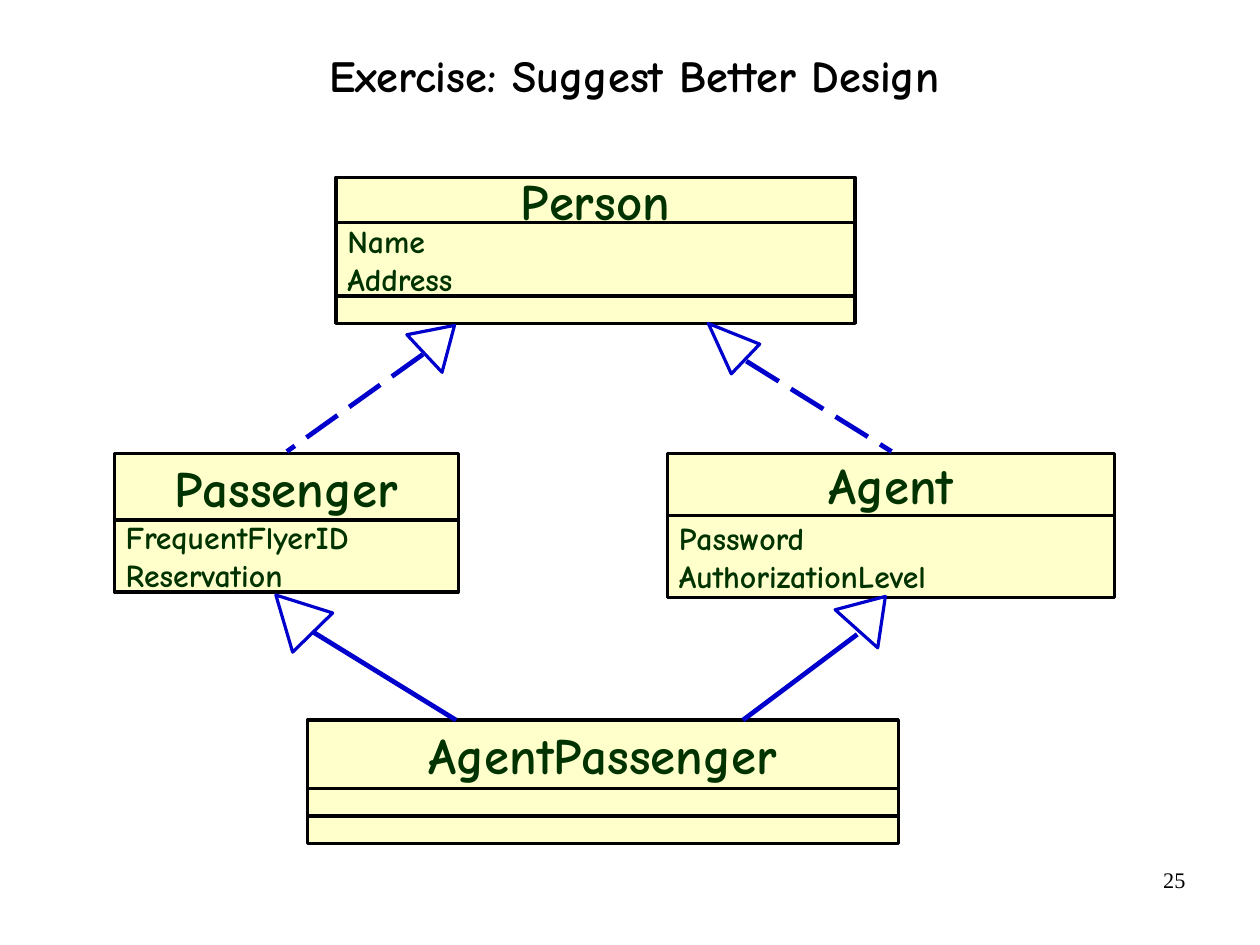
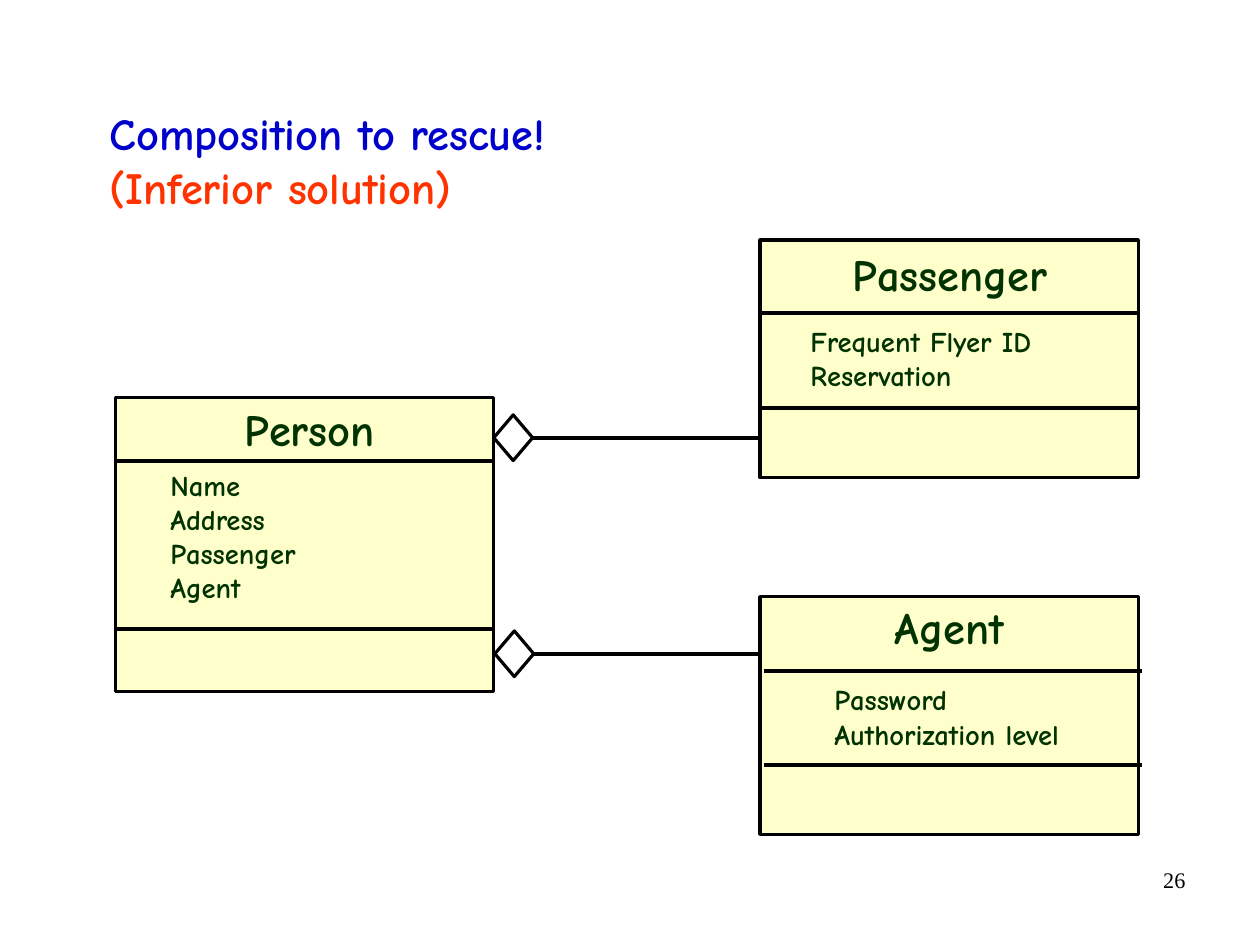
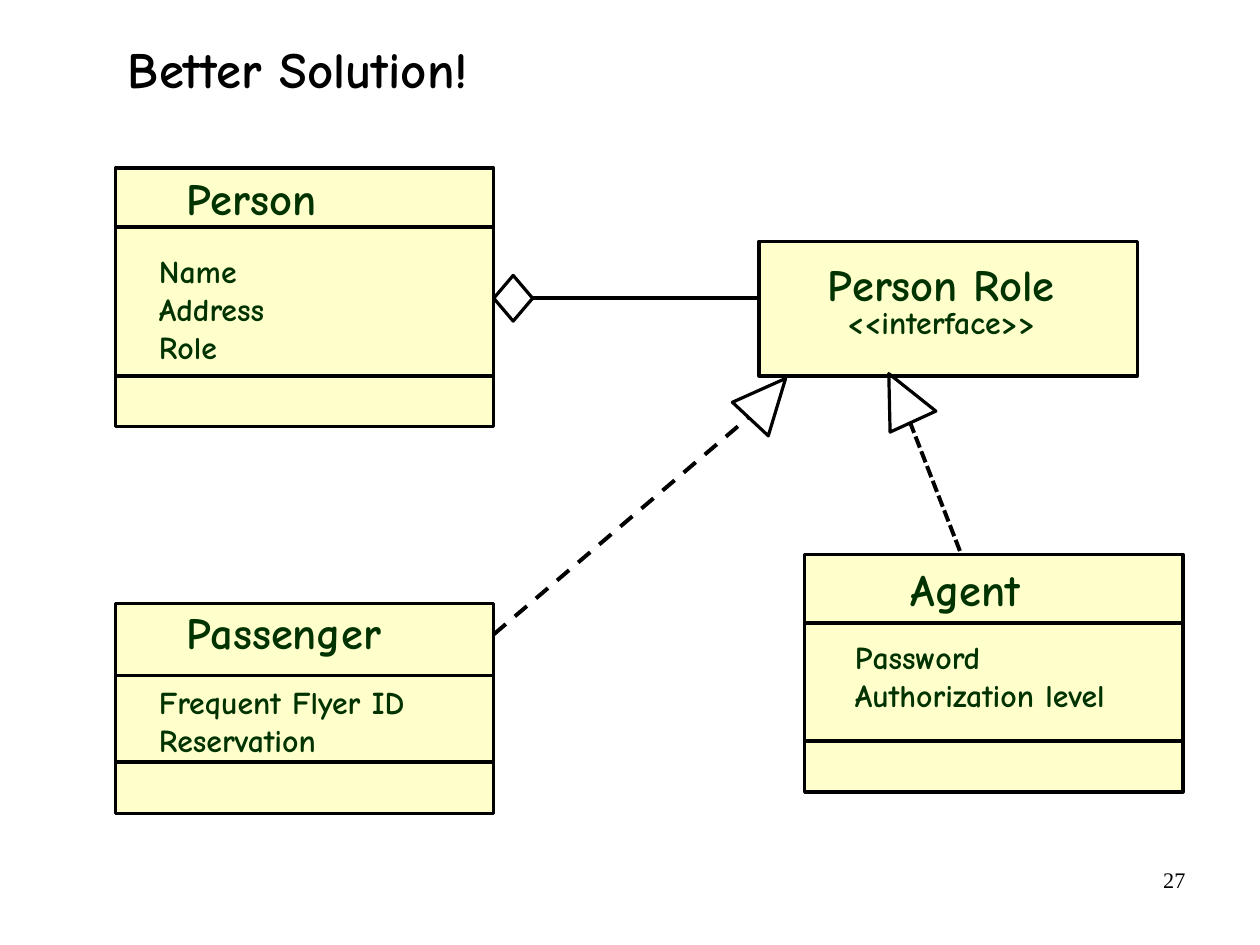
"""Build three slides on a class design exercise: inheritance, composition and roles."""
import pptx
import pptx.dml.color
import pptx.enum.dml
import pptx.enum.shapes
import pptx.enum.text
import pptx.oxml
import pptx.oxml.ns
import pptx.util

CELL = pptx.util.Inches(0.1)
BLACK, WHITE, CREAM = "000000", "FFFFFF", "FFFFCC"
GREEN, BLUE, RED = "003300", "0000CC", "FF3300"
CLASS_WIDTH = 33.1

rgb = pptx.dml.color.RGBColor.from_string
Kind = pptx.enum.shapes.MSO_SHAPE
Dash = pptx.enum.dml.MSO_LINE
Align = pptx.enum.text.PP_ALIGN
Anchor = pptx.enum.text.MSO_ANCHOR


def draw(slide, kind, box, fill=CREAM, line=BLACK):
    """Add an outlined preset shape; box is left, top, width, height in cells."""
    shape = slide.shapes.add_shape(kind, *[round(length * CELL) for length in box])
    shape.shadow.inherit = False
    if fill:
        shape.fill.solid()
        shape.fill.fore_color.rgb = rgb(fill)
    else:
        shape.fill.background()
    shape.line.color.rgb = rgb(line)
    shape.line.width = pptx.util.Pt(2)
    return shape


def write(shape, rows, align=Align.LEFT, anchor=Anchor.TOP, spacing=1.0,
          margins=(0.11, 0.06), font="Comic Neue"):
    """Fill a shape with one paragraph for each (text, size, colour) row."""
    frame = shape.text_frame
    frame.word_wrap = True
    frame.auto_size = pptx.enum.text.MSO_AUTO_SIZE.NONE
    frame.vertical_anchor = anchor
    frame.margin_left = frame.margin_right = pptx.util.Inches(margins[0])
    frame.margin_top = frame.margin_bottom = pptx.util.Inches(margins[1])
    frame.text = "\n".join(text for text, size, colour in rows)
    for paragraph, (text, size, colour) in zip(frame.paragraphs, rows):
        paragraph.alignment = align
        paragraph.line_spacing = spacing
        paragraph.space_before = pptx.util.Pt(0)
        for run in paragraph.runs:
            run.font.name = font
            run.font.size = pptx.util.Pt(size)
            run.font.bold = font == "Comic Neue"
            run.font.color.rgb = rgb(colour)


presentation = pptx.Presentation()
presentation.slide_width = pptx.util.Cm(28)
presentation.slide_height = pptx.util.Cm(21)

titles = [
    ((8.5, 0, 94, 13.7), [("Exercise: Suggest Better Design", 28, BLACK)],
     Align.CENTER, Anchor.MIDDLE, 0.88),
    ((8.5, 8.7, 85, 10.4),
     [("Composition to rescue!", 28, BLUE), ("(Inferior solution)", 28, RED)],
     Align.LEFT, Anchor.TOP, 1.0),
    ((10.1, 3.7, 94.6, 5.4), [("Better Solution!", 32, BLACK)],
     Align.LEFT, Anchor.TOP, 0.8),
]
for page, (box, rows, align, anchor, spacing) in enumerate(titles, start=25):
    slide = presentation.slides.add_slide(presentation.slide_layouts[5])
    title = slide.shapes.title
    title.left, title.top, title.width, title.height = [round(length * CELL) for length in box]
    write(title, rows, align, anchor, spacing)
    number = slide.shapes.add_textbox(
        *[round(length * CELL) for length in (79, 75.3, 25.7, 5.7)])
    write(number, [(str(page), 14, BLACK)], Align.RIGHT,
          margins=(0.1, 0.05), font="Times New Roman")
exercise, composition, roles = presentation.slides

stacked_classes = [
    (10, 39.7, 30.1, [(5.8, ["Passenger"]), (6.3, ["FrequentFlyerID", "Reservation"])]),
    (29.4, 15.5, 45.4, [(4, ["Person"]), (6.4, ["Name", "Address"]), (2.4, [])]),
    (58.4, 39.7, 39.1, [(5.4, ["Agent"]), (7.2, ["Password", "AuthorizationLevel"])]),
    (26.9, 63, 51.7, [(6, ["AgentPassenger"]), (2.4, []), (2.4, [])]),
]
for left, top, width, compartments in stacked_classes:
    for index, (height, lines) in enumerate(compartments):
        compartment = draw(exercise, Kind.RECTANGLE, (left, top, width, height))
        if lines:
            size, align = (20, Align.LEFT) if index else (32, Align.CENTER)
            write(compartment, [(line, size, GREEN) for line in lines],
                  align, Anchor.MIDDLE, margins=(0.1, 0.05))
        top += height

divided_classes = [
    (composition, (10.1, 34.8, 25.7), 10.1, (40.3, 55), "Person", (20.3, 35.5),
     ["Name", "Address", "Passenger", "Agent"], (13.8, 40.3), 18),
    (composition, (66.5, 21, 20.8), 66.5, (27.4, 35.7), "Passenger", (73.5, 21.9),
     ["Frequent Flyer ID", "Reservation"], (69.8, 27.7), 18),
    (composition, (66.5, 52.2, 20.8), 66.8, (58.7, 66.9), "Agent", (77.2, 52.8),
     ["Password", "Authorization level"], (71.9, 59.1), 18),
    (roles, (10.1, 14.7, 22.6), 10.1, (19.9, 32.9), "Person", (15.2, 15.3),
     ["Name", "Address", "Role"], (12.8, 21.4), 20),
    (roles, (10.1, 52.8, 18.4), 10.1, (59.1, 66.7), "Passenger", (15.2, 53.2),
     ["Frequent Flyer ID", "Reservation"], (12.8, 59.1), 20),
    (roles, (70.4, 48.5, 20.8), 70.4, (54.5, 64.8), "Agent", (78.6, 49.5),
     ["Password", "Authorization level"], (73.7, 55.2), 20),
]
strokes = []
for (slide, (left, top, height), divider_left, dividers, name, name_corner,
     attributes, list_corner, size) in divided_classes:
    draw(slide, Kind.RECTANGLE, (left, top, CLASS_WIDTH, height))
    list_height = 1.2 + len(attributes) * size / 6
    labels = [
        ((*name_corner, 23, 4.8), [(name, 28, GREEN)], 0.8),
        ((*list_corner, 27.9, list_height), [(text, size, GREEN) for text in attributes], 1.0),
    ]
    for box, rows, spacing in labels:
        label = slide.shapes.add_textbox(*[round(length * CELL) for length in box])
        write(label, rows, spacing=spacing)
    for row in dividers:
        strokes.append((slide, (divider_left, row, divider_left + CLASS_WIDTH, row),
                        BLACK, 2.5, None, None))

draw(roles, Kind.RECTANGLE, (66.4, 21.1, CLASS_WIDTH, 11.8))
role_label = roles.shapes.add_textbox(
    *[round(length * CELL) for length in (68.2, 22.8, 28.3, 7.5)])
write(role_label, [("Person Role", 28, GREEN), ("<<interface>>", 20, GREEN)],
      Align.CENTER, spacing=0.8)

arrowheads = [
    (exercise, (36.2, 27.9, 4.5, 3.6), 46.9, 0.5, WHITE, BLUE),
    (exercise, (61.8, 27.6, 3.6, 4.5), 313.7, 0.5, WHITE, BLUE),
    (exercise, (23.3, 51.4, 4.9, 4.6), 315.6, 0.5, WHITE, BLUE),
    (exercise, (73.7, 51.7, 5, 3.8), 41.8, 0.5, WHITE, BLUE),
    (roles, (65.1, 32.6, 4.3, 4.7), 43.1, 0.46, None, BLACK),
    (roles, (76.7, 32.4, 4.4, 4.7), 335.4, 0.46, None, BLACK),
]
for slide, box, rotation, apex, fill, line in arrowheads:
    arrowhead = draw(slide, Kind.ISOSCELES_TRIANGLE, box, fill, line)
    arrowhead.adjustments[0] = apex
    arrowhead.rotation = rotation

aggregations = [(composition, 43.2, 36.3), (composition, 43.3, 55.2), (roles, 43.2, 24.1)]
for slide, left, top in aggregations:
    diamond = draw(slide, Kind.DIAMOND, (left, top, 3.4, 4), None)
    strokes.append((slide, (left + 3.4, top + 2, 66.5, top + 2), BLACK, 2.5, None, diamond))

strokes += [
    (exercise, (37, 31, 25.1, 39.5), BLUE, 3, Dash.LONG_DASH, None),
    (exercise, (65.3, 31.6, 78, 39.5), BLUE, 3, Dash.LONG_DASH, None),
    (exercise, (27.4, 55.3, 39.9, 63), BLUE, 3, None, None),
    (exercise, (75, 55.5, 65, 63), BLUE, 3, None, None),
    (roles, (43.2, 55.5, 65.5, 36.5), BLACK, 2.5, Dash.DASH, None),
    (roles, (79.6, 36.9, 84.1, 48.5), BLACK, 2.5, Dash.SQUARE_DOT, None),
]
for slide, ends, colour, weight, dash, diamond in strokes:
    connector = slide.shapes.add_connector(
        pptx.enum.shapes.MSO_CONNECTOR.STRAIGHT, *[round(length * CELL) for length in ends])
    connector.line.color.rgb = rgb(colour)
    connector.line.width = pptx.util.Pt(weight)
    if dash:
        connector.line.dash_style = dash
    if diamond:
        connector.begin_connect(diamond, 3)
    connector.element.spPr.append(
        pptx.oxml.parse_xml("<a:effectLst %s/>" % pptx.oxml.ns.nsdecls("a")))

presentation.save("out.pptx")
